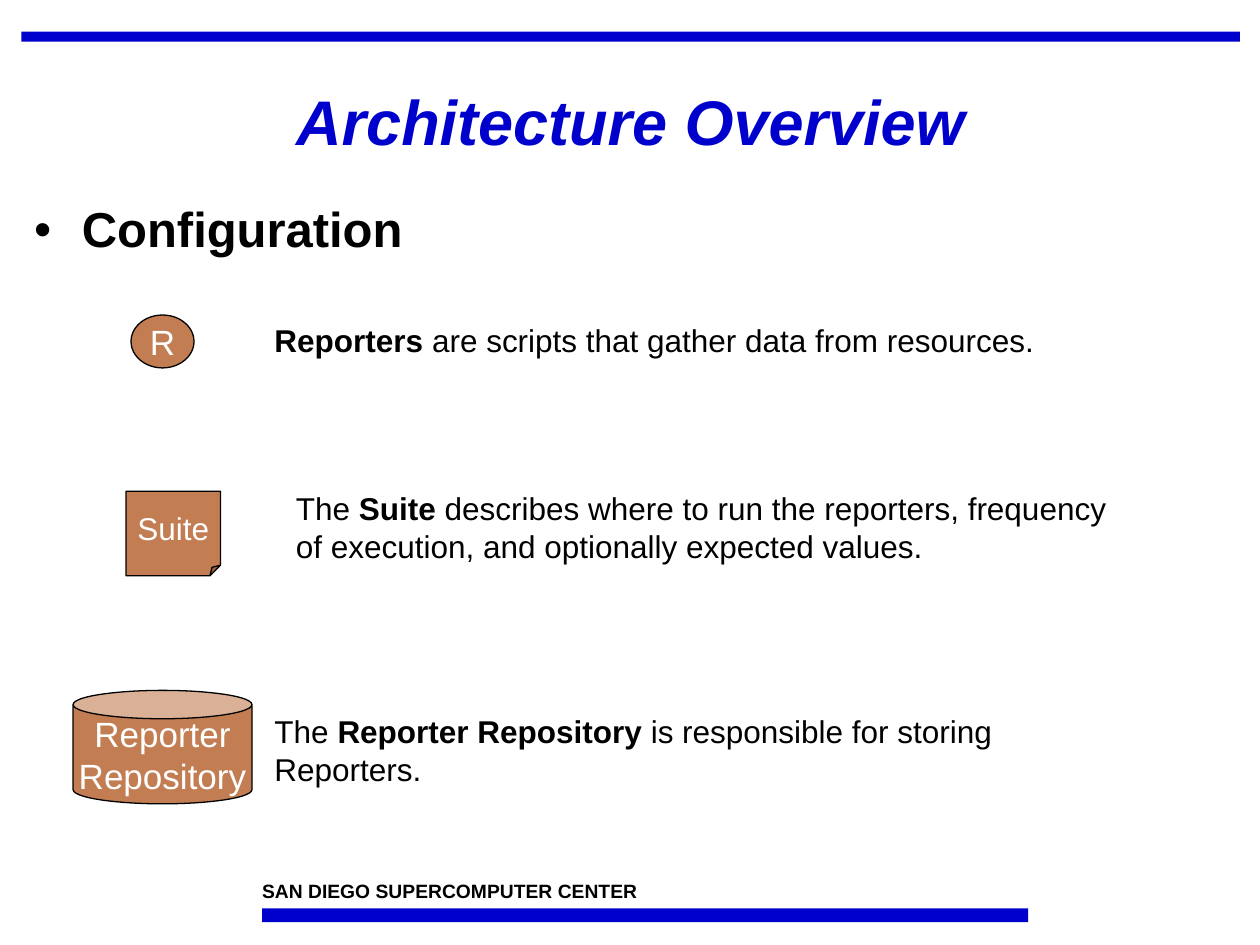
from pptx import Presentation
from pptx.dml.color import RGBColor
from pptx.enum.shapes import MSO_SHAPE
from pptx.enum.text import MSO_ANCHOR, MSO_AUTO_SIZE, PP_ALIGN
from pptx.util import Inches, Pt
from lxml import etree

RECTANGLE, OVAL = MSO_SHAPE.RECTANGLE, MSO_SHAPE.OVAL
NOTE, CAN = MSO_SHAPE.FOLDED_CORNER, MSO_SHAPE.CAN
TOP, MIDDLE = MSO_ANCHOR.TOP, MSO_ANCHOR.MIDDLE
LEFT, CENTER = PP_ALIGN.LEFT, PP_ALIGN.CENTER
NO_FIT = MSO_AUTO_SIZE.NONE
DRAWING = "http://schemas.openxmlformats.org/drawingml/2006/main"

BLUE, CLAY, BLACK, WHITE = "0000CC", "C27D52", "000000", "FFFFFF"
TITLE = "Architecture Overview"
HEADING = "Configuration"
FOOTER = "SAN DIEGO SUPERCOMPUTER CENTER"
BARS = [(0.17, 0.25, 9.67, 0.08), (2.08, 7.21, 6.08, 0.11)]
PARTS = [
    {"shape": OVAL, "at": (1.04, 2.5, 0.5, 0.42), "label": ["R"], "size": 20,
     "text_at": (2.08, 2.5, 6.75, 0.5),
     "spans": [("Reporters", True),
               (" are scripts that gather data from resources.", False)]},
    {"shape": NOTE, "at": (1, 3.9, 0.75, 0.67), "label": ["Suite"], "size": 18,
     "fold": 12500, "text_at": (2.25, 3.83, 6.75, 0.9),
     "spans": [("The ", False), ("Suite", True),
               (" describes where to run the reporters, frequency of execution, "
                "and optionally expected values.", False)]},
    {"shape": CAN, "at": (0.58, 5.48, 1.42, 0.9), "label": ["Reporter", "Repository"],
     "size": 20, "text_at": (2.08, 5.6, 6.75, 0.9),
     "spans": [("The ", False), ("Reporter Repository", True),
               (" is responsible for storing Reporters.", False)]},
]


def color(value):
    return RGBColor.from_string(value)


def inches(place):
    return [Inches(length) for length in place]


def style(paragraph, size, ink, bold=None, italic=None, align=LEFT):
    paragraph.alignment = align
    font = paragraph.font
    font.name, font.size = "Arial", Pt(size)
    font.color.rgb = color(ink)
    font.bold, font.italic = bold, italic


def set_frame(frame, anchor=TOP, wrap=True):
    frame.auto_size = NO_FIT
    frame.vertical_anchor = anchor
    frame.word_wrap = wrap


def add_filled(slide, kind, place, fill):
    shape = slide.shapes.add_shape(kind, *inches(place))
    shape.shadow.inherit = False
    shape.fill.solid()
    shape.fill.fore_color.rgb = color(fill)
    return shape


def fill_placeholder(holder, place, text, anchor, spacing):
    holder.left, holder.top, holder.width, holder.height = inches(place)
    holder.text_frame.text = text
    set_frame(holder.text_frame, anchor)
    paragraph = holder.text_frame.paragraphs[0]
    paragraph.line_spacing = spacing
    paragraph.space_before = Pt(0)
    return paragraph


def add_bullet(paragraph, indent):
    properties = paragraph._p.get_or_add_pPr()
    properties.set("marL", str(Inches(indent)))
    properties.set("indent", str(-Inches(indent)))
    bullet = etree.SubElement(properties, f"{{{DRAWING}}}buChar")
    bullet.set("char", "•")


def set_fold(shape, amount):
    guides = shape._element.spPr.find(f".//{{{DRAWING}}}avLst")
    guide = etree.SubElement(guides, f"{{{DRAWING}}}gd")
    guide.set("name", "adj")
    guide.set("fmla", f"val {amount}")


def add_icon(slide, part):
    icon = add_filled(slide, part["shape"], part["at"], CLAY)
    icon.line.color.rgb = color(BLACK)
    icon.line.width = Pt(0.75)
    if "fold" in part:
        set_fold(icon, part["fold"])
    frame = icon.text_frame
    frame.text = "\n".join(part["label"])
    set_frame(frame, MIDDLE, wrap=False)
    for paragraph in frame.paragraphs:
        style(paragraph, part["size"], WHITE, align=CENTER)


def add_text(slide, place, spans, size):
    frame = slide.shapes.add_textbox(*inches(place)).text_frame
    set_frame(frame)
    paragraph = frame.paragraphs[0]
    style(paragraph, size, BLACK)
    for text, bold in spans:
        span = paragraph.add_run()
        span.text = text
        span.font.bold = bold
    return frame


def main():
    deck = Presentation()
    deck.slide_width, deck.slide_height = Inches(10), Inches(7.5)
    slide = deck.slides.add_slide(deck.slide_layouts[1])

    for place in BARS:
        add_filled(slide, RECTANGLE, place, BLUE).line.fill.background()
    footer = add_text(slide, (2.08, 6.98, 3.75, 0.18), [(FOOTER, True)], 11)
    footer.margin_left = footer.margin_right = 0
    footer.margin_top = footer.margin_bottom = 0

    title = fill_placeholder(slide.shapes.title, (0.17, 0.42, 9.67, 1.14),
                             TITLE, MIDDLE, 0.9)
    style(title, 36, BLUE, bold=True, italic=True, align=CENTER)
    heading = fill_placeholder(slide.placeholders[1], (0.17, 1.56, 9.67, 5.19),
                               HEADING, TOP, 0.95)
    add_bullet(heading, 0.38)
    style(heading, 28, BLACK, bold=True)

    for part in PARTS:
        add_icon(slide, part)
        add_text(slide, part["text_at"], part["spans"], 18)

    deck.save("out.pptx")


if __name__ == "__main__":
    main()
